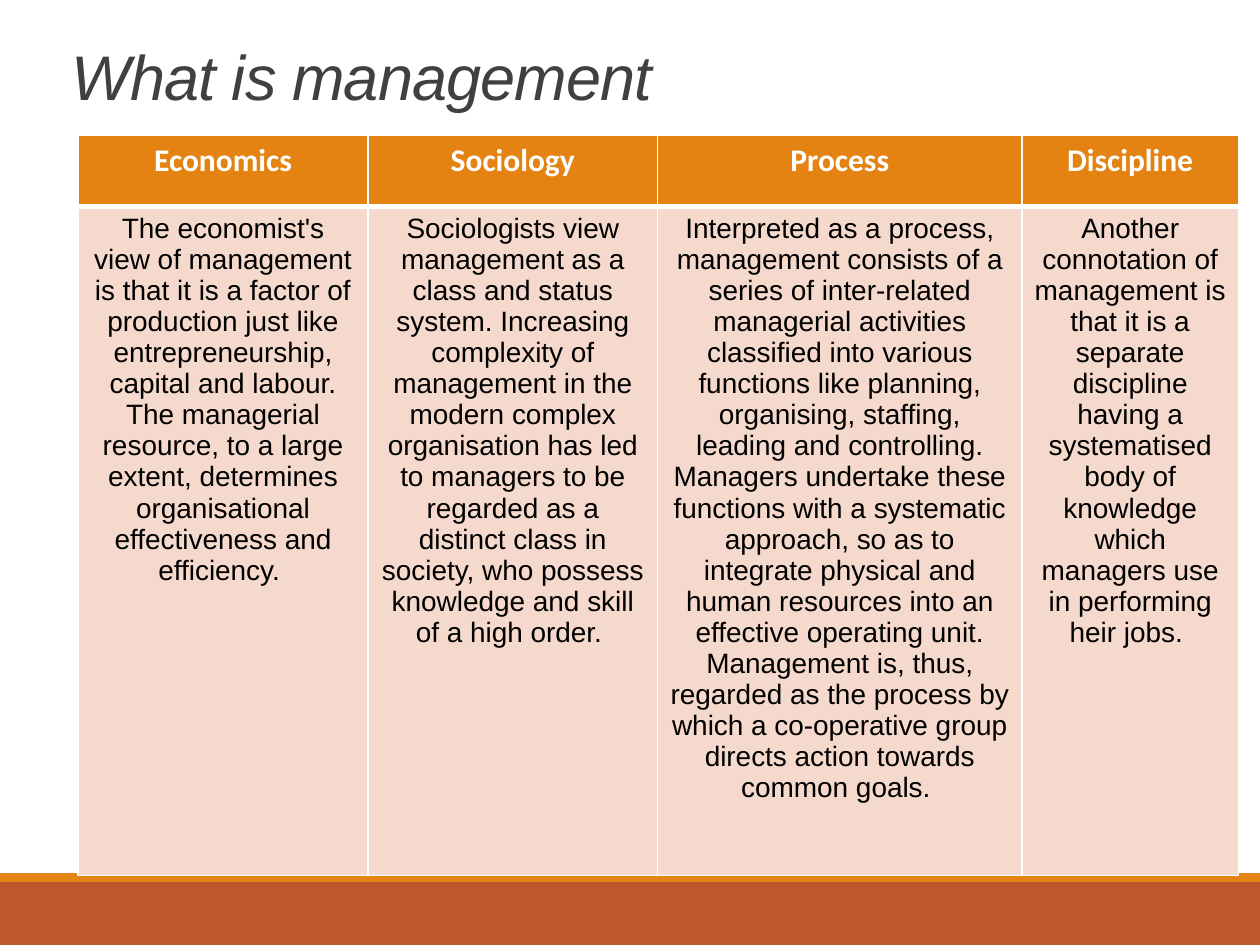
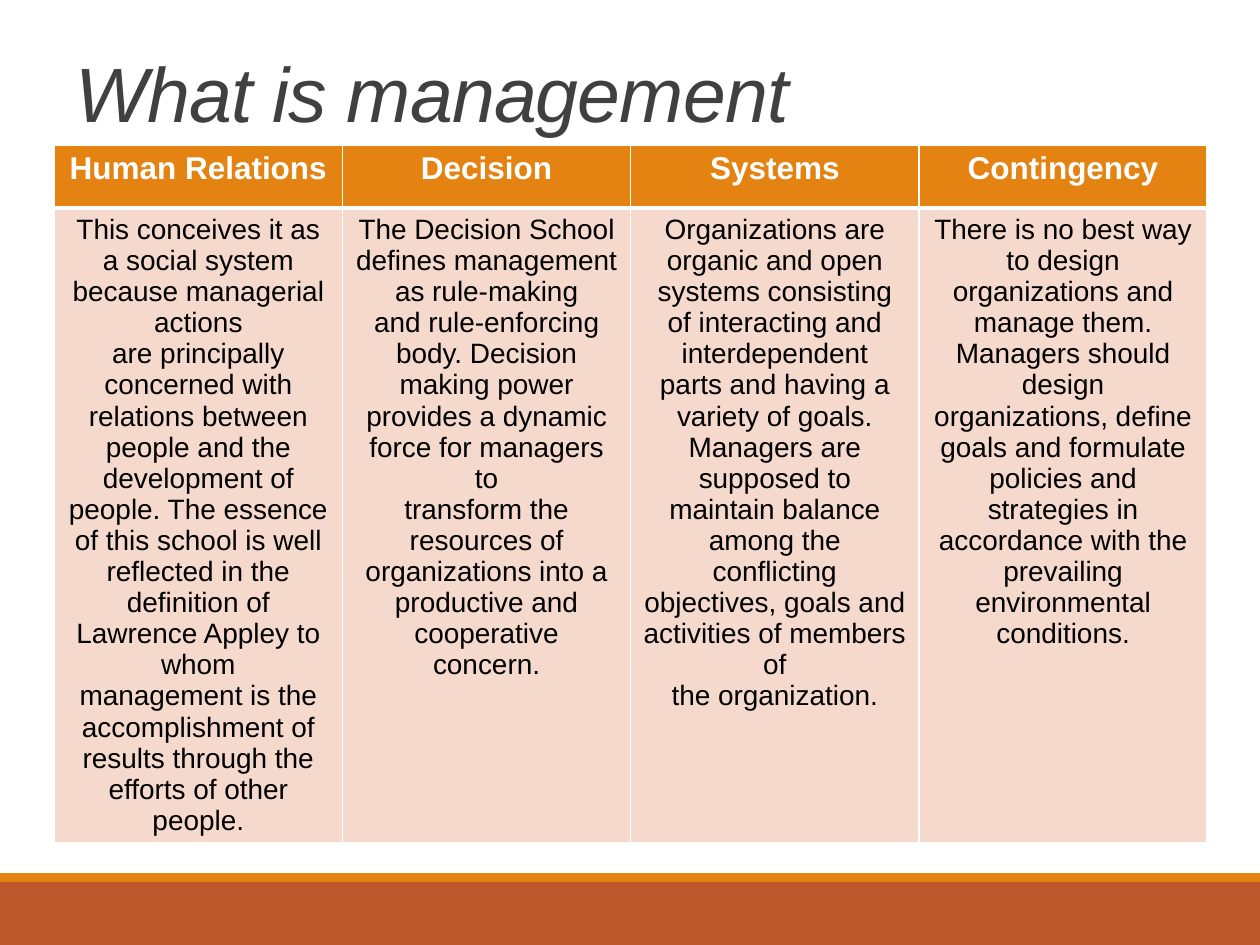
from lxml.etree import SubElement
from pptx import Presentation
from pptx.dml.color import RGBColor
from pptx.enum.shapes import MSO_SHAPE
from pptx.enum.text import MSO_ANCHOR, MSO_AUTO_SIZE, PP_ALIGN
from pptx.oxml.ns import qn
from pptx.util import Inches, Pt

COLS, ROWS = 100, 75  # grid of the whole slide

TITLE = "What is management"

VIEWS = {
    "Economics": "The economist's view of management is that it is a factor of production just like "
                 "entrepreneurship, capital and labour. The managerial resource, to a large extent, "
                 "determines organisational effectiveness and efficiency. ",
    "Sociology": "Sociologists view management as a class and status system. Increasing complexity of "
                 "management in the modern complex organisation has led to managers to be regarded as a "
                 "distinct class in society, who possess knowledge and skill of a high order. ",
    "Process": "Interpreted as a process, management consists of a series of inter-related managerial "
               "activities classified into various functions like planning, organising, staffing, leading "
               "and controlling. Managers undertake these functions with a systematic approach, so as to "
               "integrate physical and human resources into an effective operating unit. Management is, "
               "thus, regarded as the process by which a co-operative group directs action towards common "
               "goals. ",
    "Discipline": "Another connotation of management is that it is a separate discipline having a "
                  "systematised body of knowledge which managers use in performing heir jobs. ",
}

SCHOOLS = {
    "Human Relations": "This conceives it as a social system because managerial actions\n"
                       "are principally concerned with relations between people and the development of "
                       "people. The essence\n"
                       "of this school is well reflected in the definition of Lawrence Appley to whom\n"
                       "management is the accomplishment of results through the efforts of other\n"
                       "people.",
    "Decision": "The Decision School defines management as rule-making\n"
                "and rule-enforcing body. Decision making power provides a dynamic force for managers to\n"
                "transform the resources of organizations into a productive and cooperative\n"
                "concern.",
    "Systems": "Organizations are organic and open systems consisting of interacting and interdependent\n"
               "parts and having a variety of goals. Managers are supposed to\n"
               "maintain balance among the conflicting objectives, goals and activities of members of\n"
               "the organization.",
    "Contingency": "There is no best way to design organizations and manage them.\n"
                   "Managers should design organizations, define goals and formulate policies and\n"
                   "strategies in accordance with the prevailing environmental conditions.",
}


def rgb(color):
    return RGBColor.from_string(color)


class Deck:
    RUST, ORANGE, PEACH = "BD582C", "E48312", "F5D9CC"
    WHITE, BLACK, GREY = "FFFFFF", "000000", "404040"
    FONT = "Arial"

    def __init__(self):
        self.prs = Presentation()
        self.prs.slide_width, self.prs.slide_height = Inches(10), Inches(7.5)
        self.s = None

    def x(self, cols):
        return round(self.prs.slide_width * cols / COLS)

    def y(self, rows):
        return round(self.prs.slide_height * rows / ROWS)

    def box(self, left, top, width, height):
        return self.x(left), self.y(top), self.x(width), self.y(height)

    def slide(self):
        """Start a title-only slide with the two footer bands."""
        self.s = self.prs.slides.add_slide(self.prs.slide_layouts[5])
        self.band(70, 5, self.RUST)
        self.band(69.3, 0.7, self.ORANGE)

    def band(self, top, height, color):
        sp = self.s.shapes.add_shape(MSO_SHAPE.RECTANGLE, *self.box(0, top, COLS, height))
        sp.shadow.inherit = False
        sp.fill.solid()
        sp.fill.fore_color.rgb = rgb(color)
        sp.line.fill.background()

    def run(self, p, text, size, color, font=FONT, bold=False, italic=False):
        r = p.add_run()
        r.text = text
        f = r.font
        f.name, f.size, f.bold, f.italic = font, Pt(size), bold, italic
        f.color.rgb = rgb(color)
        return r

    def title(self, text, size, *place):
        sp = self.s.shapes.title
        sp.left, sp.top, sp.width, sp.height = self.box(*place)
        tf = sp.text_frame
        tf.word_wrap, tf.auto_size = True, MSO_AUTO_SIZE.NONE
        tf.vertical_anchor = MSO_ANCHOR.BOTTOM
        p = tf.paragraphs[0]
        p.alignment, p.line_spacing = PP_ALIGN.LEFT, 0.85
        r = self.run(p, text, size, self.GREY, italic=True)
        r.font._element.set("spc", "-50")

    def borders(self, cell, top, bottom):
        tc_pr = cell._tc.get_or_add_tcPr()
        for side, width in {"L": 1, "R": 1, "T": top, "B": bottom}.items():
            ln = SubElement(tc_pr, qn(f"a:ln{side}"), w=str(Pt(width)))
            fill = SubElement(ln, qn("a:solidFill"))
            SubElement(fill, qn("a:srgbClr"), val=self.WHITE)

    def cell(self, cell, text, fill, top, bottom, **style):
        self.borders(cell, top, bottom)
        cell.fill.solid()
        cell.fill.fore_color.rgb = rgb(fill)
        tf = cell.text_frame
        for i, line in enumerate(text.split("\n")):
            p = tf.add_paragraph() if i else tf.paragraphs[0]
            p.alignment = PP_ALIGN.CENTER
            self.run(p, line, **style)

    def table(self, columns, left, top, widths, heights, head_font=FONT):
        """Draw one column for each heading and its text."""
        place = self.box(left, top, sum(widths), sum(heights))
        table = self.s.shapes.add_table(2, len(columns), *place).table
        table.horz_banding = False
        for row, height in zip(table.rows, heights):
            row.height = self.y(height)
        for i, (heading, text) in enumerate(columns.items()):
            table.columns[i].width = self.x(widths[i])
            self.cell(table.cell(0, i), heading, self.ORANGE, 1, 3,
                      size=18, color=self.WHITE, font=head_font, bold=True)
            self.cell(table.cell(1, i), text, self.PEACH, 3, 1, size=16, color=self.BLACK)


def main():
    deck = Deck()

    deck.slide()
    deck.title(TITLE, 36, 4.7, 1.6, 90, 7.9)
    deck.table(VIEWS, 6.2, 10.7, [23, 23, 28.9, 17.2], [5.7, 53.1], head_font="Calibri")

    deck.slide()
    deck.title(TITLE, 44, 5, 3, 90, 8.5)
    deck.table(SCHOOLS, 4.3, 11.5, [22.88] * 4, [5, 50.3])

    deck.prs.save("out.pptx")


if __name__ == "__main__":
    main()
